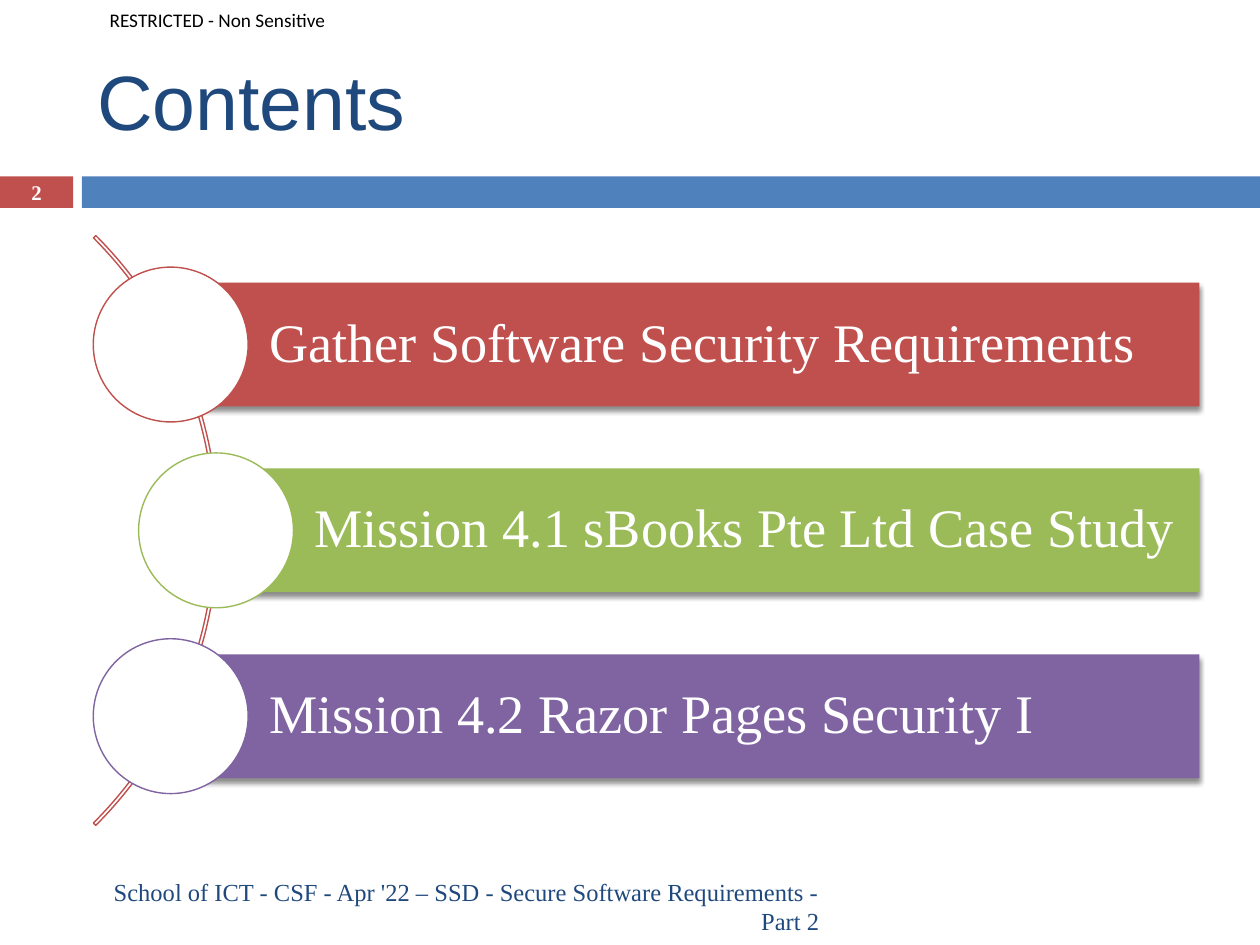
from dataclasses import dataclass
from typing import NamedTuple

from lxml.etree import SubElement as Sub
from pptx import Presentation
from pptx.dml.color import RGBColor as Rgb
from pptx.enum.shapes import MSO_SHAPE as Kind
from pptx.enum.text import MSO_ANCHOR as Anchor, PP_ALIGN as Align
from pptx.oxml.ns import qn
from pptx.util import Inches, Pt


@dataclass(frozen=True)
class Theme:
    white: str = "FFFFFF"
    black: str = "000000"
    navy: str = "1F497D"
    blue: str = "4F81BD"
    red: str = "C0504D"
    green: str = "9BBB59"
    purple: str = "8064A2"
    serif: str = "Times New Roman"
    sans: str = "Arial"
    label: str = "Calibri"
    head: float = 44
    item: float = 31
    foot: float = 14
    page: float = 11.9
    mark: float = 11
    line: float = 0.79


class Box(NamedTuple):
    """Place and size in percent of the slide's width and height."""
    x: float
    y: float
    w: float
    h: float


class Font(NamedTuple):
    face: str
    size: float
    color: str
    bold: bool = False


class Item(NamedTuple):
    text: str
    color: str
    mid: float  # centre of the circle, percent of the width


T = Theme()
WIDE, HIGH = Inches(10), Inches(7.5)

# Diagram grid: bars one row high, their centres 1.5 rows apart
TOP, ROW, STEP = 23.35, 13.11, 1.5
RIGHT = 95.2
RING = 1.25 * ROW
ITEMS = [
    Item("Gather Software Security Requirements", T.red, 13.55),
    Item("Mission 4.1 sBooks Pte Ltd Case Study", T.green, 17.15),
    Item("Mission 4.2 Razor Pages Security I", T.purple, 13.55),
]


def place(box: Box) -> tuple[int, int, int, int]:
    return (int(box.x * WIDE / 100), int(box.y * HIGH / 100),
            int(box.w * WIDE / 100), int(box.h * HIGH / 100))


def draw(slide, kind, box: Box, fill: str = "", line: str = ""):
    shape = slide.shapes.add_shape(kind, *place(box))
    shape.shadow.inherit = False
    if fill:
        shape.fill.solid()
        shape.fill.fore_color.rgb = Rgb.from_string(fill)
    else:
        shape.fill.background()
    if line:
        shape.line.color.rgb = Rgb.from_string(line)
        shape.line.width = Pt(T.line)
    else:
        shape.line.fill.background()
    return shape


def shade(shape) -> None:
    """Cast a soft shadow straight down."""
    effect = shape._element.spPr.find(qn("a:effectLst"))
    cast = Sub(effect, qn("a:outerShdw"), blurRad=str(Pt(3)),
               dist=str(Pt(2.4)), dir="5400000", rotWithShape="0")
    tint = Sub(cast, qn("a:srgbClr"), val=T.black)
    Sub(tint, qn("a:alpha"), val="45000")


def write(shape, text: str, font: Font, align=Align.LEFT, inset=None):
    frame = shape.text_frame
    frame.word_wrap = True
    frame.vertical_anchor = Anchor.MIDDLE
    if inset is not None:
        frame.margin_left = Inches(inset)
    para = frame.paragraphs[0]
    para.alignment = align
    run = para.add_run()
    run.text = text
    run.font.name = font.face
    run.font.size = Pt(font.size)
    run.font.bold = font.bold
    run.font.color.rgb = Rgb.from_string(font.color)
    return para


def label(slide, box: Box, text: str, font: Font, align=Align.LEFT, inset=None):
    area = slide.shapes.add_textbox(*place(box))
    write(area, text, font, align, inset)


def entry(slide, item: Item, rank: int) -> None:
    """Draw one bar with its circle."""
    mid = TOP + ROW * (1 + STEP * rank)
    wide = RING * HIGH / WIDE
    bar = draw(slide, Kind.RECTANGLE,
               Box(item.mid, mid - ROW / 2, RIGHT - item.mid, ROW), item.color)
    shade(bar)
    para = write(bar, item.text, Font(T.serif, T.item, T.white), inset=0.78)
    para.line_spacing = 0.9
    draw(slide, Kind.OVAL,
         Box(item.mid - wide / 2, mid - RING / 2, wide, RING),
         T.white, item.color)


def main() -> None:
    deck = Presentation()
    deck.slide_width, deck.slide_height = WIDE, HIGH
    slide = deck.slides.add_slide(deck.slide_layouts[5])

    # Header band, marking, title and page number
    draw(slide, Kind.RECTANGLE, Box(0, 18.67, 5.8, 3.33), T.red)
    draw(slide, Kind.RECTANGLE, Box(6.5, 18.67, 93.5, 3.33), T.blue)
    label(slide, Box(0, 0, 30, 4.13), "RESTRICTED - Non Sensitive",
          Font(T.label, T.mark, T.black), inset=0.87)
    title = slide.shapes.title
    title.left, title.top, title.width, title.height = place(
        Box(6.7, 3.33, 89.2, 14.4))
    write(title, "Contents", Font(T.sans, T.head, T.navy))
    label(slide, Box(0, 18.53, 5.8, 3.6), "2",
          Font(T.serif, T.page, T.white, True), Align.CENTER)

    # Arc behind the circles
    arc = draw(slide, Kind.BLOCK_ARC, Box(-48.9, 12, 66.2, 88.27), line=T.red)
    for spot, value in enumerate((189, 27, 400 / 100000)):
        arc.adjustments[spot] = value

    # Content list
    for rank, item in enumerate(ITEMS):
        entry(slide, item, rank)

    # Footer
    label(slide, Box(6.7, 93.2, 59.3, 5.33),
          "School of ICT - CSF - Apr '22 – SSD - Secure Software "
          "Requirements - Part 2",
          Font(T.serif, T.foot, T.navy), Align.RIGHT)

    deck.save("out.pptx")


if __name__ == "__main__":
    main()
